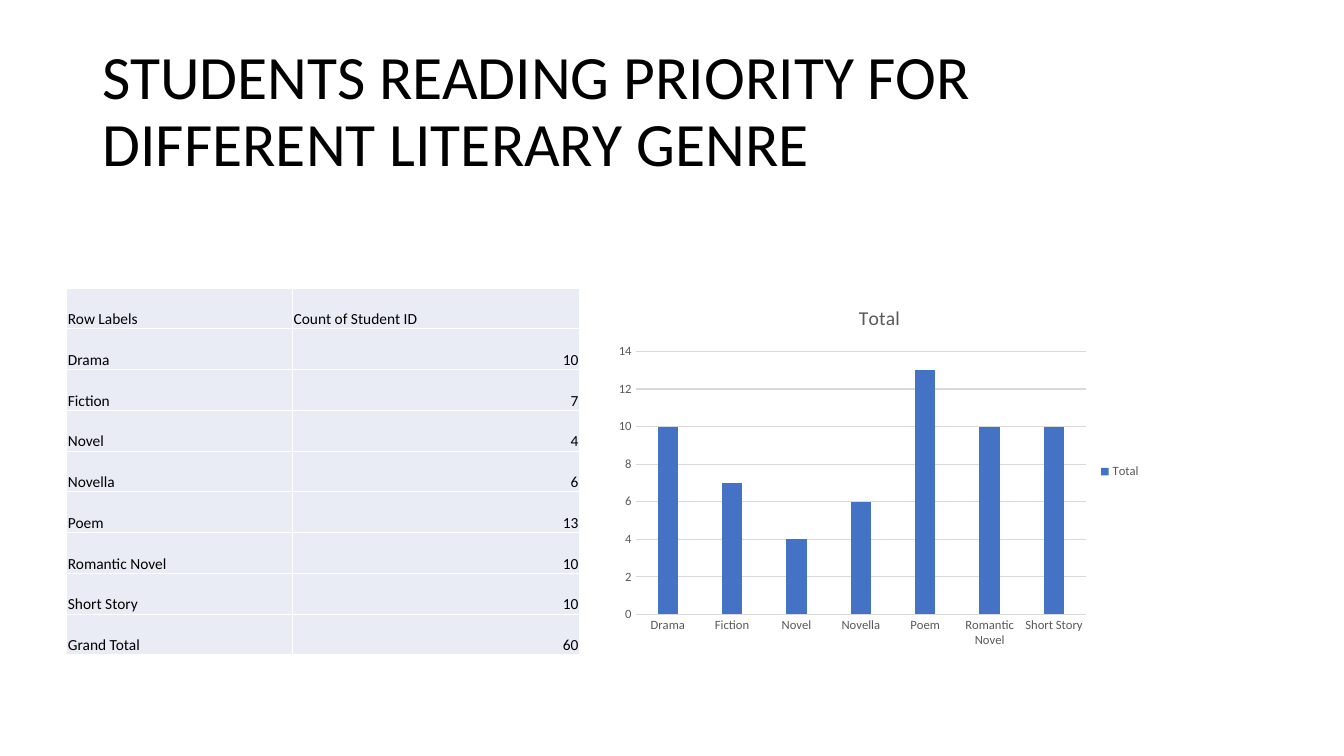
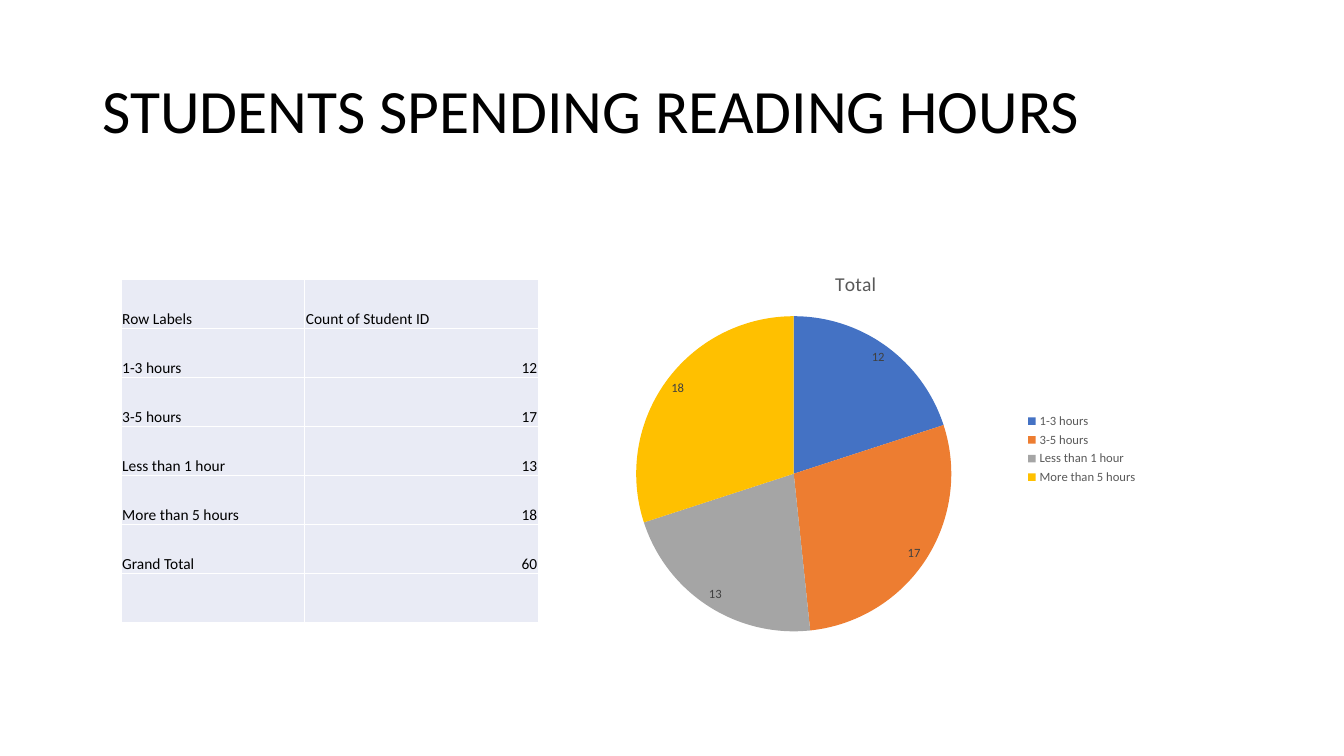
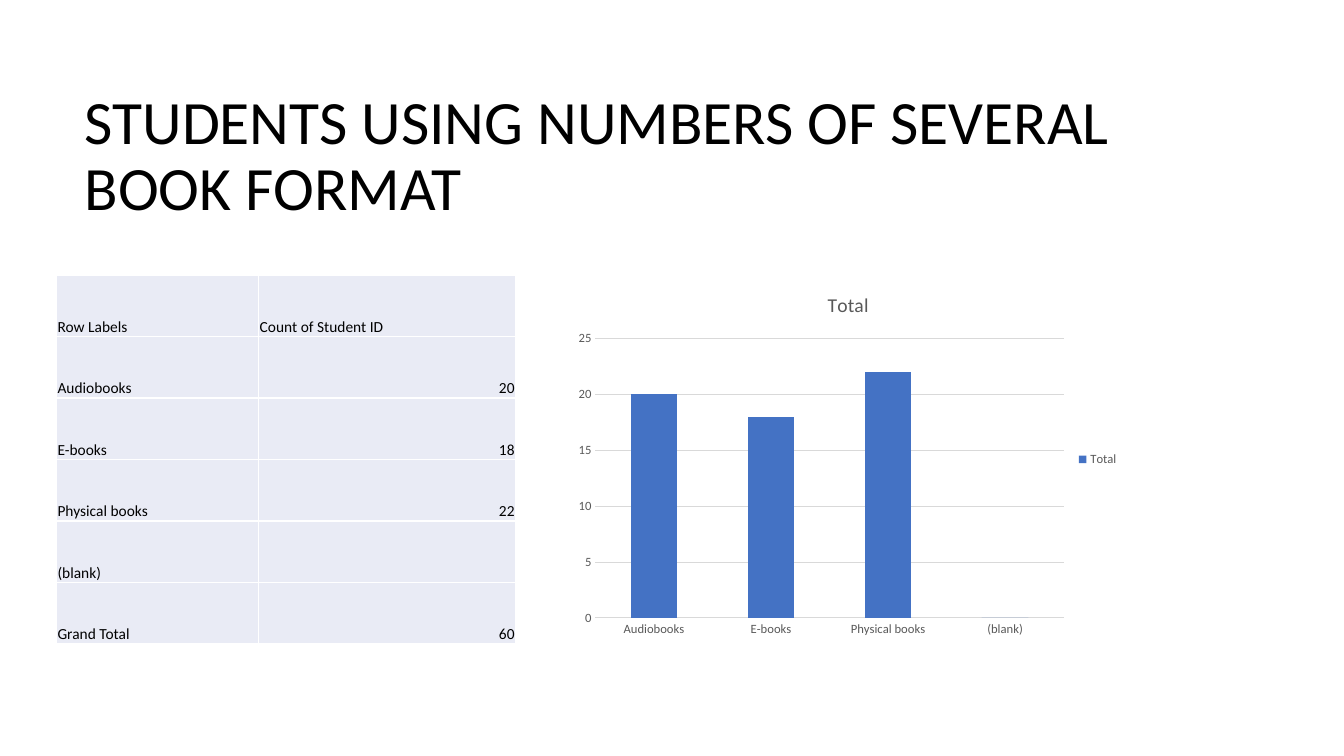
from lxml import etree
from pptx import Presentation
from pptx.chart.data import CategoryChartData
from pptx.dml.color import RGBColor
from pptx.enum.chart import XL_CHART_TYPE, XL_LABEL_POSITION, XL_LEGEND_POSITION, XL_TICK_MARK
from pptx.enum.text import MSO_ANCHOR, PP_ALIGN
from pptx.oxml.ns import qn
from pptx.util import Cm, Pt

COLUMN, PIE = XL_CHART_TYPE.COLUMN_CLUSTERED, XL_CHART_TYPE.PIE
BEST_FIT = XL_LABEL_POSITION.BEST_FIT
LEGEND_RIGHT = XL_LEGEND_POSITION.RIGHT
NO_TICK = XL_TICK_MARK.NONE
MIDDLE, BOTTOM = MSO_ANCHOR.MIDDLE, MSO_ANCHOR.BOTTOM
LEFT, RIGHT = PP_ALIGN.LEFT, PP_ALIGN.RIGHT

COLORS = {
    "text": "000000", "chart_text": "595959", "label": "404040", "grid": "D9D9D9",
    "cell": "E9EBF5", "border": "FFFFFF",
    "blue": "4472C4", "orange": "ED7D31", "gray": "A5A5A5", "gold": "FFC000",
}
SLICE_COLORS = ["blue", "orange", "gray", "gold"]
FONT = "Calibri"
TITLE_ONLY = 5
TITLE_BOX = (2.33, 1.01, 29.21, 3.68)
HEADER = ("Row Labels", "Count of Student ID")
LABEL_SHARE = 0.44  # label column's part of the table width


def rgb(name):
    return RGBColor.from_string(COLORS[name])


def cm_box(box):
    return [Cm(v) for v in box]


def style_font(font, size, color):
    font.name = FONT
    font.size = Pt(size)
    font.bold = False
    font.color.rgb = rgb(color)


def add_title(slide, text, box):
    sp = slide.shapes.title
    sp.left, sp.top, sp.width, sp.height = cm_box(box)
    tf = sp.text_frame
    tf.text = text
    tf.word_wrap = True
    tf.vertical_anchor = MIDDLE
    p = tf.paragraphs[0]
    p.alignment = LEFT
    p.line_spacing = 0.9
    style_font(p.runs[0].font, 44, "text")


def add_borders(cell):
    tc_pr = cell._tc.get_or_add_tcPr()
    for side in ("a:lnL", "a:lnR", "a:lnT", "a:lnB"):
        ln = etree.SubElement(tc_pr, qn(side), w=str(Pt(1)))
        fill = etree.SubElement(ln, qn("a:solidFill"))
        etree.SubElement(fill, qn("a:srgbClr"), val=COLORS["border"])


def fill_cell(cell, text, alignment):
    add_borders(cell)
    cell.fill.solid()
    cell.fill.fore_color.rgb = rgb("cell")
    cell.vertical_anchor = BOTTOM
    cell.margin_left = cell.margin_right = cell.margin_top = Cm(0.03)
    cell.margin_bottom = 0
    p = cell.text_frame.paragraphs[0]
    p.alignment = alignment
    if text:
        p.text = text
        style_font(p.runs[0].font, 11, "text")


def add_count_table(slide, rows, box):
    rows = [HEADER, *rows]
    width, height = box[2:]
    table = slide.shapes.add_table(len(rows), 2, *cm_box(box)).table
    table.first_row = table.horz_banding = False
    table.columns[0].width = Cm(width * LABEL_SHARE)
    table.columns[1].width = Cm(width * (1 - LABEL_SHARE))
    for i, (label, count) in enumerate(rows):
        table.rows[i].height = Cm(height / len(rows))
        fill_cell(table.cell(i, 0), label, LEFT)
        fill_cell(table.cell(i, 1), str(count), RIGHT if i else LEFT)


def add_total_chart(slide, kind, counts, box):
    """Add a chart of one series with the title and legend all charts share."""
    data = CategoryChartData()
    data.categories = [label for label, _ in counts]
    data.add_series("Total", [count or 0 for _, count in counts])
    chart = slide.shapes.add_chart(kind, *cm_box(box), data).chart
    style_font(chart.font, 10, "text")
    chart.has_title = True
    tf = chart.chart_title.text_frame
    tf.text = "Total"
    style_font(tf.paragraphs[0].runs[0].font, 14, "chart_text")
    chart.has_legend = True
    chart.legend.position = LEGEND_RIGHT
    chart.legend.include_in_layout = False
    style_font(chart.legend.font, 9, "chart_text")
    return chart


def style_line(line, color):
    line.color.rgb = rgb(color)
    line.width = Pt(0.75)


def add_column_chart(slide, counts, box, gap, overlap, axis_line):
    chart = add_total_chart(slide, COLUMN, counts, box)
    plot = chart.plots[0]
    plot.vary_by_categories = False
    plot.gap_width, plot.overlap = gap, overlap
    fill = plot.series[0].format.fill
    fill.solid()
    fill.fore_color.rgb = rgb("blue")
    for axis in (chart.category_axis, chart.value_axis):
        axis.major_tick_mark = axis.minor_tick_mark = NO_TICK
        style_font(axis.tick_labels.font, 9, "chart_text")
        axis.format.line.fill.background()
    if axis_line:
        style_line(chart.category_axis.format.line, "grid")
    chart.value_axis.has_major_gridlines = True
    style_line(chart.value_axis.major_gridlines.format.line, "grid")


def add_pie_chart(slide, counts, box):
    plot = add_total_chart(slide, PIE, counts, box).plots[0]
    plot.vary_by_categories = True
    series = plot.series[0]
    for i, color in enumerate(SLICE_COLORS):
        fill = series.points[i].format.fill
        fill.solid()
        fill.fore_color.rgb = rgb(color)
    labels = series.data_labels
    labels.show_value = True
    labels.position = BEST_FIT
    style_font(labels.font, 9, "label")


def add_survey_slide(prs, title, rows, table_box, title_box=TITLE_BOX):
    """Add a slide with a title and a table of counts; the chart comes after."""
    slide = prs.slides.add_slide(prs.slide_layouts[TITLE_ONLY])
    add_title(slide, title, title_box)
    add_count_table(slide, rows, table_box)
    return slide


def main():
    prs = Presentation()
    prs.slide_width, prs.slide_height = Cm(33.87), Cm(19.05)
    total = ("Grand Total", 60)

    genres = [("Drama", 10), ("Fiction", 7), ("Novel", 4), ("Novella", 6),
              ("Poem", 13), ("Romantic Novel", 10), ("Short Story", 10)]
    slide = add_survey_slide(
        prs, "STUDENTS READING PRIORITY FOR DIFFERENT LITERARY GENRE",
        [*genres, total], (1.68, 7.26, 12.93, 9.25))
    add_column_chart(slide, genres, (15.32, 7.26, 13.69, 9.25),
                     gap=219, overlap=-27, axis_line=True)

    hours = [("1-3 hours", 12), ("3-5 hours", 17),
             ("Less than 1 hour", 13), ("More than 5 hours", 18)]
    slide = add_survey_slide(
        prs, "STUDENTS SPENDING READING HOURS",
        [*hours, total, ("", "")], (3.05, 7.04, 10.52, 8.64))
    add_pie_chart(slide, hours, (14.2, 6.38, 14.73, 9.88))

    formats = [("Audiobooks", 20), ("E-books", 18), ("Physical books", 22), ("(blank)", "")]
    slide = add_survey_slide(
        prs, "STUDENTS USING NUMBERS OF SEVERAL BOOK FORMAT",
        [*formats, total], (1.42, 6.93, 11.58, 9.3), (1.88, 1.8, 28.7, 4.34))
    add_column_chart(slide, formats, (14.3, 6.93, 14.15, 9.3),
                     gap=150, overlap=0, axis_line=False)

    prs.save("out.pptx")


if __name__ == "__main__":
    main()
